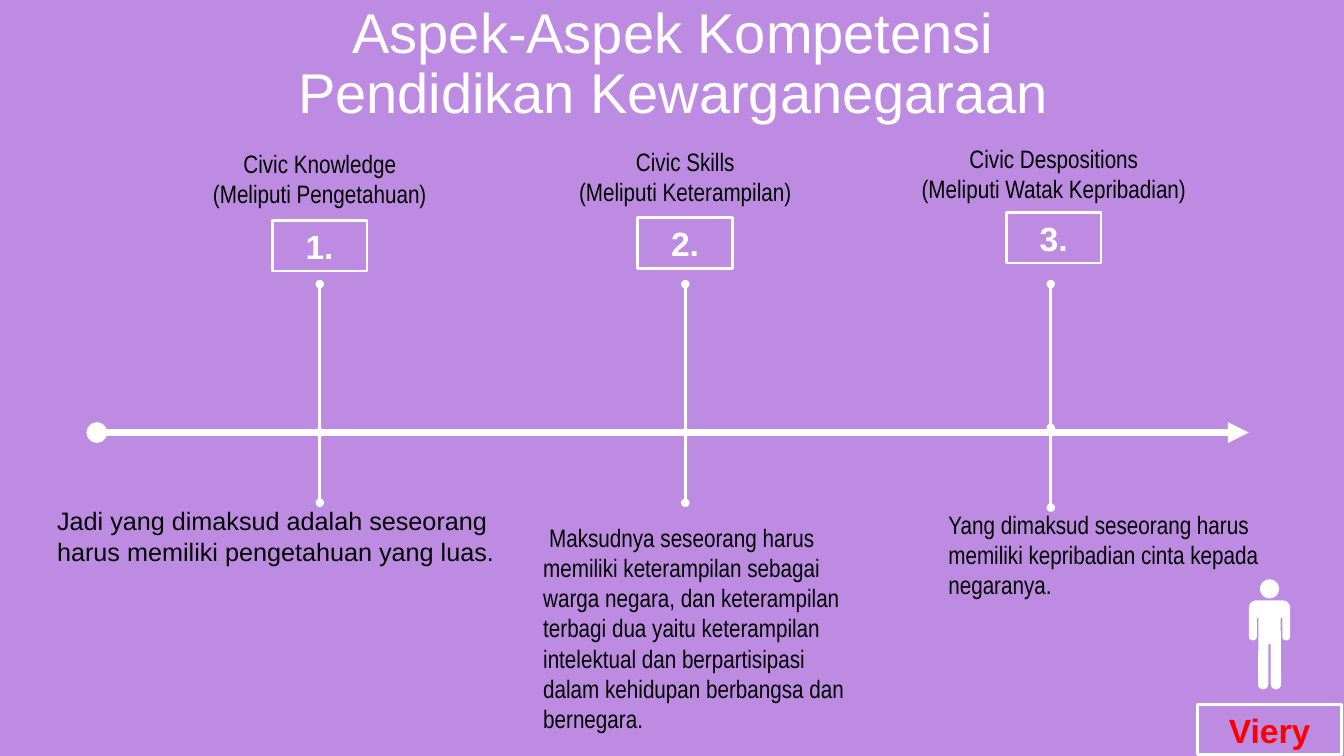
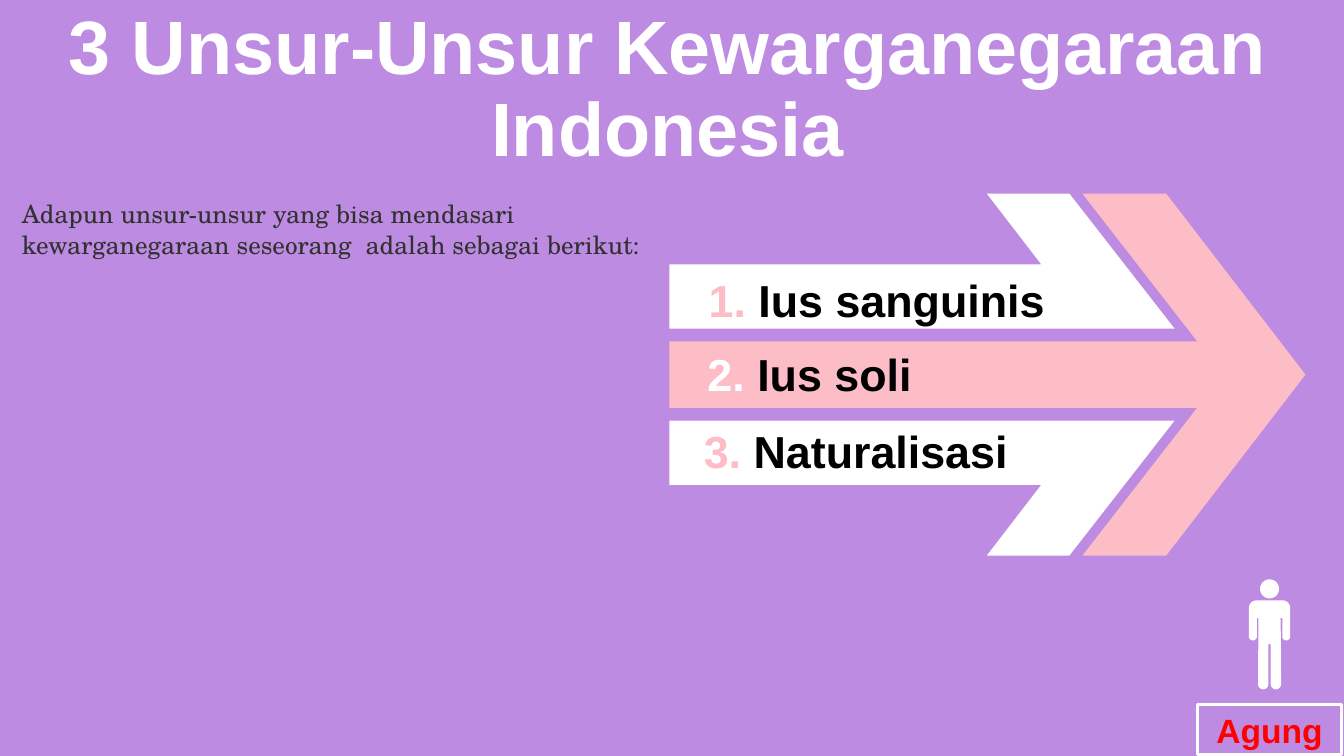
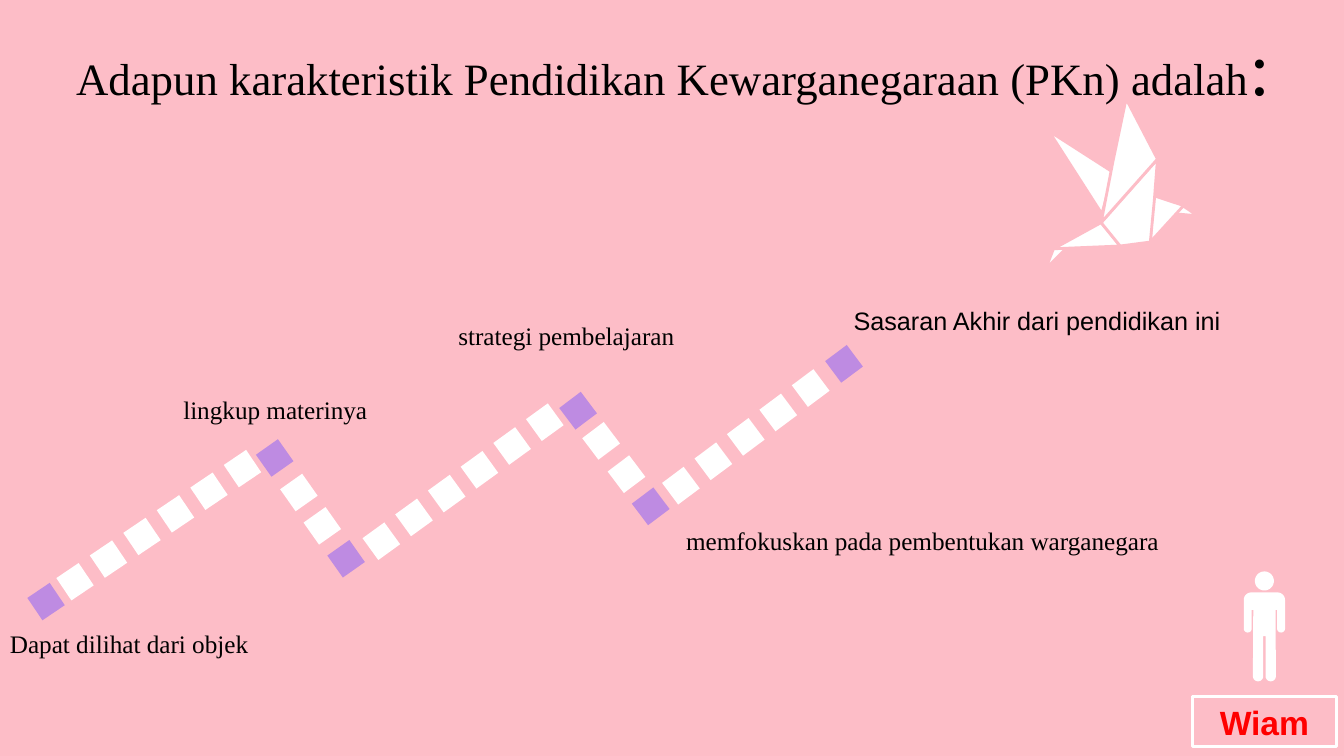
import math
from dataclasses import dataclass

from lxml import etree
from pptx import Presentation
from pptx.dml.color import RGBColor
from pptx.enum import shapes, text
from pptx.oxml import ns
from pptx.util import Cm, Pt


@dataclass(frozen=True)
class Theme:
    purple: str = "BE8BE2"
    pink: str = "FDBDC7"
    white: str = "FFFFFF"
    black: str = "000000"
    grey: str = "313131"
    red: str = "FF0000"
    sans: str = "Arial"
    narrow: str = "Arial Narrow"
    serif: str = "Times New Roman"
    school: str = "TeX Gyre Schola"
    body: int = 18
    label: int = 24
    item: int = 32
    title: int = 40
    display: int = 54
    line: int = 2
    axis: int = 5


T = Theme()
LEFT, CENTER = text.PP_ALIGN.LEFT, text.PP_ALIGN.CENTER
RECT = shapes.MSO_SHAPE.RECTANGLE


def rgb(value):
    return RGBColor.from_string(value)


def set_font(font, size=None, name=None, color=None, bold=None):
    if size:
        font.size = Pt(size)
    if name:
        font.name = name
    if color:
        font.color.rgb = rgb(color)
    if bold is not None:
        font.bold = bold


def write(tf, paragraphs, align=LEFT, **style):
    for i, runs in enumerate(paragraphs):
        p = tf.paragraphs[0] if i == 0 else tf.add_paragraph()
        p.alignment = align
        set_font(p.font, **style)
        for words, own in [(runs, {})] if isinstance(runs, str) else runs:
            r = p.add_run()
            r.text = words
            set_font(r.font, **own)


def add_text(slide, box, paragraphs, align=LEFT, wrap=True, middle=False, **style):
    sp = slide.shapes.add_textbox(*map(Cm, box))
    tf = sp.text_frame
    tf.word_wrap = wrap
    tf.auto_size = text.MSO_AUTO_SIZE.SHAPE_TO_FIT_TEXT
    tf.vertical_anchor = text.MSO_ANCHOR.MIDDLE if middle else text.MSO_ANCHOR.TOP
    write(tf, paragraphs, align, **style)
    return sp


def paint(sp, fill=None, line=None):
    sp.shadow.inherit = False
    if fill:
        sp.fill.solid()
        sp.fill.fore_color.rgb = rgb(fill)
    else:
        sp.fill.background()
    if line:
        sp.line.color.rgb = rgb(line)
        sp.line.width = Pt(T.line)
    else:
        sp.line.fill.background()


def add_outline(slide, left, top, contours, fill, line=None):
    placed = [[(Cm(left + x), Cm(top + y)) for x, y in c] for c in contours]
    builder = slide.shapes.build_freeform(*placed[0][0], scale=1.0)
    for i, points in enumerate(placed):
        if i:
            builder.move_to(*points[0])
        builder.add_line_segments(points[1:], close=True)
    paint(builder.convert_to_shape(), fill, line)


def add_line(slide, start, end, width, head="oval", tail="oval"):
    cx = slide.shapes.add_connector(
        shapes.MSO_CONNECTOR.STRAIGHT, *map(Cm, start + end))
    cx.line.color.rgb = rgb(T.white)
    cx.line.width = Pt(width)
    ln = cx.line._get_or_add_ln()
    for tag, kind in (("a:headEnd", head), ("a:tailEnd", tail)):
        etree.SubElement(ln, ns.qn(tag)).set("type", kind)
    etree.SubElement(cx._element.spPr, ns.qn("a:effectLst"))


def add_frame(slide, box, words, color):
    sp = slide.shapes.add_shape(RECT, *map(Cm, box))
    paint(sp, line=T.white)
    sp.text_frame.vertical_anchor = text.MSO_ANCHOR.MIDDLE
    write(sp.text_frame, [words], CENTER,
          size=T.label, name=T.sans, color=color, bold=True)


def new_slide(prs, background, box, title, **style):
    slide = prs.slides.add_slide(prs.slide_layouts[5])
    slide.background.fill.solid()
    slide.background.fill.fore_color.rgb = rgb(background)
    sp = slide.shapes.title
    sp.left, sp.top, sp.width, sp.height = map(Cm, box)
    tf = sp.text_frame
    tf.word_wrap = True
    tf.auto_size = text.MSO_AUTO_SIZE.NONE
    tf.vertical_anchor = text.MSO_ANCHOR.MIDDLE
    write(tf, [title], CENTER, **style)
    tf.paragraphs[0].line_spacing = 0.9
    return slide


def arc(cx, cy, radius, start, end, steps=12):
    angles = [math.radians(start + (end - start) * i / steps) for i in range(steps + 1)]
    return [(cx + radius * math.cos(a), cy + radius * math.sin(a)) for a in angles]


def add_person(slide, center, top):
    half = (arc(0.33, 0.72, 0.19, -90, 0) + arc(0.42, 1.44, 0.1, 0, 180)
            + [(0.32, 0.97), (0.28, 0.97)]
            + arc(0.16, 2.64, 0.13, 0, 180) + [(0.03, 1.63)])
    body = half + [(-x, y) for x, y in reversed(half)]
    head = arc(0, 0.24, 0.24, 0, 360, 32)
    add_outline(slide, center, top, [body, head], T.white)


def add_presenter(slide, name, left=30.18, top=17.75):
    width = 3.63
    add_person(slide, left + width / 2, top - 3.15)
    add_frame(slide, (left, top, width, 1.27), name, T.red)


def add_aspect(slide, x, axis, number, heading, heading_width, rise, shift, drop):
    add_line(slide, (x, 7.16), (x, axis), T.line)
    add_line(slide, (x, axis - drop), (x, axis + 1.77 + drop), T.line)
    middle = x + shift
    add_frame(slide, (middle - 1.2, 5.56 - rise, 2.39, 1.27), f"{number}.", T.white)
    add_text(slide, (middle - heading_width / 2, 3.61 - rise * 0.65, heading_width, 1.8),
             heading, CENTER, wrap=False, size=T.body, name=T.narrow, color=T.black)


def build_aspects(prs):
    slide = new_slide(prs, T.purple, (5.36, 0.64, 23.19, 2.01),
                      "Aspek-Aspek Kompetensi Pendidikan Kewarganegaraan",
                      size=T.title, name=T.sans, color=T.white)
    axis = 10.9
    add_line(slide, (2.44, axis), (31.47, axis), T.axis, tail="triangle")
    aspects = [
        (["Civic Knowledge", "(Meliputi Pengetahuan)"], 5.97, 0, 0, 0),
        (["Civic Skills", "(Meliputi Keterampilan)"], 6.07, 0.07, 0, 0),
        (["Civic Despositions", "(Meliputi Watak Kepribadian)"], 7.39, 0.2, 0.08, 0.12),
    ]
    for i, aspect in enumerate(aspects):
        add_aspect(slide, 8.06 + 9.21 * i, axis, i + 1, *aspect)
    meanings = [
        ((1.19, 12.62, 12.55, 1.8), T.sans, 0,
         "Jadi yang dimaksud adalah seseorang harus memiliki pengetahuan yang luas."),
        ((13.44, 13.03, 8.56, 5.64), T.narrow, 0.15,
         "Maksudnya seseorang harus memiliki keterampilan sebagai warga negara, dan "
         "keterampilan terbagi dua yaitu keterampilan intelektual dan berpartisipasi "
         "dalam kehidupan berbangsa dan bernegara."),
        ((23.65, 12.7, 8.36, 2.57), T.narrow, 0,
         "Yang dimaksud seseorang harus memiliki kepribadian cinta kepada negaranya."),
    ]
    for box, font, indent, words in meanings:
        sp = add_text(slide, box, [words], size=T.body, name=font, color=T.black)
        if indent:
            pPr = sp.text_frame.paragraphs[0]._p.get_or_add_pPr()
            pPr.set("indent", str(Cm(indent)))
    add_presenter(slide, "Viery")


def add_arrow(slide, left, top, height=9.12):
    def flip(points):
        return [(x, height - y) for x, y in reversed(points)]

    chevron = [(0, 3.72), (13.3, 3.72), (10.41, 0), (12.52, 0), (16.03, height / 2)]
    branch = [(0, 1.78), (9.37, 1.78), (8, 0), (10.08, 0), (12.73, 3.4), (0, 3.4)]
    add_outline(slide, left, top, [chevron + flip(chevron[:-1])], T.pink)
    for points in (branch, flip(branch)):
        add_outline(slide, left, top, [points], T.white)
    items = [
        ((0, 1.85, 10.46, 1.63), "Ius sanguinis", T.pink),
        ((-0.06, 3.71, 7.19, 1.63), "Ius soli", T.white),
        ((0, 5.66, 9.4, 1.63), "Naturalisasi", T.pink),
    ]
    for i, ((x, y, w, h), words, color) in enumerate(items, 1):
        add_text(slide, (left + x, top + y, w, h),
                 [[(f"{i}.", {"color": color}), (f" {words}", {"color": T.black})]],
                 CENTER, middle=True, size=T.item, name=T.sans, bold=True)


def build_elements(prs):
    slide = new_slide(prs, T.purple, (0.74, 1.14, 32.16, 2.29),
                      "3 Unsur-Unsur Kewarganegaraan Indonesia",
                      size=T.display, name=T.sans, color=T.white, bold=True)
    add_arrow(slide, 16.87, 4.88)
    add_text(slide, (0.3, 4.88, 16.94, 1.8),
             ["Adapun unsur-unsur yang bisa mendasari kewarganegaraan seseorang  adalah "
              "sebagai berikut:"],
             size=T.body, name=T.school, color=T.grey)
    add_presenter(slide, "Agung")


def add_tile(slide, x, y, angle, color, side=0.68):
    sp = slide.shapes.add_shape(
        RECT, Cm(x - side / 2), Cm(y - side / 2), Cm(side), Cm(side))
    sp.rotation = angle
    paint(sp, color)


def add_trail(slide):
    runs = [
        ((1.89, 14.66), (6.11, 11.81), 6, 56),
        ((7.53, 12.41), (8.12, 13.25), 2, 144.8),
        ((9.61, 13.64), (13.73, 10.64), 6, 54.1),
        ((15.15, 11.11), (15.79, 11.95), 2, 323),
        ((17.16, 12.24), (20.43, 9.78), 5, 53.3),
    ]
    for (x0, y0), (x1, y1), count, angle in runs:
        for i in range(count):
            t = i / (count - 1)
            add_tile(slide, x0 + (x1 - x0) * t, y0 + (y1 - y0) * t, angle, T.white)
    milestones = [
        (1.16, 15.16, 56), (6.92, 11.54, 144.8), (8.72, 14.08, 144.8),
        (14.57, 10.35, 323), (16.4, 12.76, 323), (21.27, 9.17, 53.3),
    ]
    for x, y, angle in milestones:
        add_tile(slide, x, y, angle, T.purple)


def add_bird(slide, left, top):
    tail, chest, belly = (0.2, 3.78), (1.4, 3.12), (1.88, 3.71)
    shoulder, throat = (2.82, 1.52), (2.64, 3.61)
    folds = [
        [(0.58, 3.71), (0, 4.29), tail],
        [tail, chest, belly],
        [(3.45, 2.69), (3.84, 2.95), (3.28, 2.9)],
        [(2.72, 2.44), (3.48, 2.69), throat],
        [(0.08, 0.81), (1.7, 1.85), (1.42, 2.9)],
        [belly, throat, (2.74, 2.57), shoulder, chest],
        [shoulder, (2.03, 0), (1.7, 1.57), chest],
    ]
    for fold in folds:
        add_outline(slide, left, top, [fold], T.white, T.pink)


def build_characteristics(prs):
    title = [("Adapun karakteristik Pendidikan Kewarganegaraan (PKn) adalah",
              {"size": T.item}), (":", {"size": T.display})]
    slide = new_slide(prs, T.pink, (0.89, 0.79, 32.16, 2.01), title,
                      name=T.serif, color=T.black)
    add_trail(slide)
    add_bird(slide, 26.35, 2.49)
    labels = [
        (0, 15.7, 6.58, "Dapat dilihat dari objek", T.serif),
        (4.37, 9.8, 6.05, "lingkup materinya", T.serif),
        (11.3, 7.95, 6.02, "strategi pembelajaran", T.serif),
        (17.04, 13.11, 12.55, "memfokuskan pada pembentukan warganegara", T.serif),
        (21.26, 7.57, 9.86, "Sasaran Akhir dari pendidikan ini", T.sans),
    ]
    for x, y, width, words, font in labels:
        add_text(slide, (x, y, width, 1.02), [words], wrap=False,
                 size=T.body, name=font, color=T.black)
    add_presenter(slide, "Wiam", 30.05, 17.55)


def main():
    prs = Presentation()
    prs.slide_width, prs.slide_height = Cm(33.87), Cm(19.05)
    build_aspects(prs)
    build_elements(prs)
    build_characteristics(prs)
    prs.save("out.pptx")


if __name__ == "__main__":
    main()
